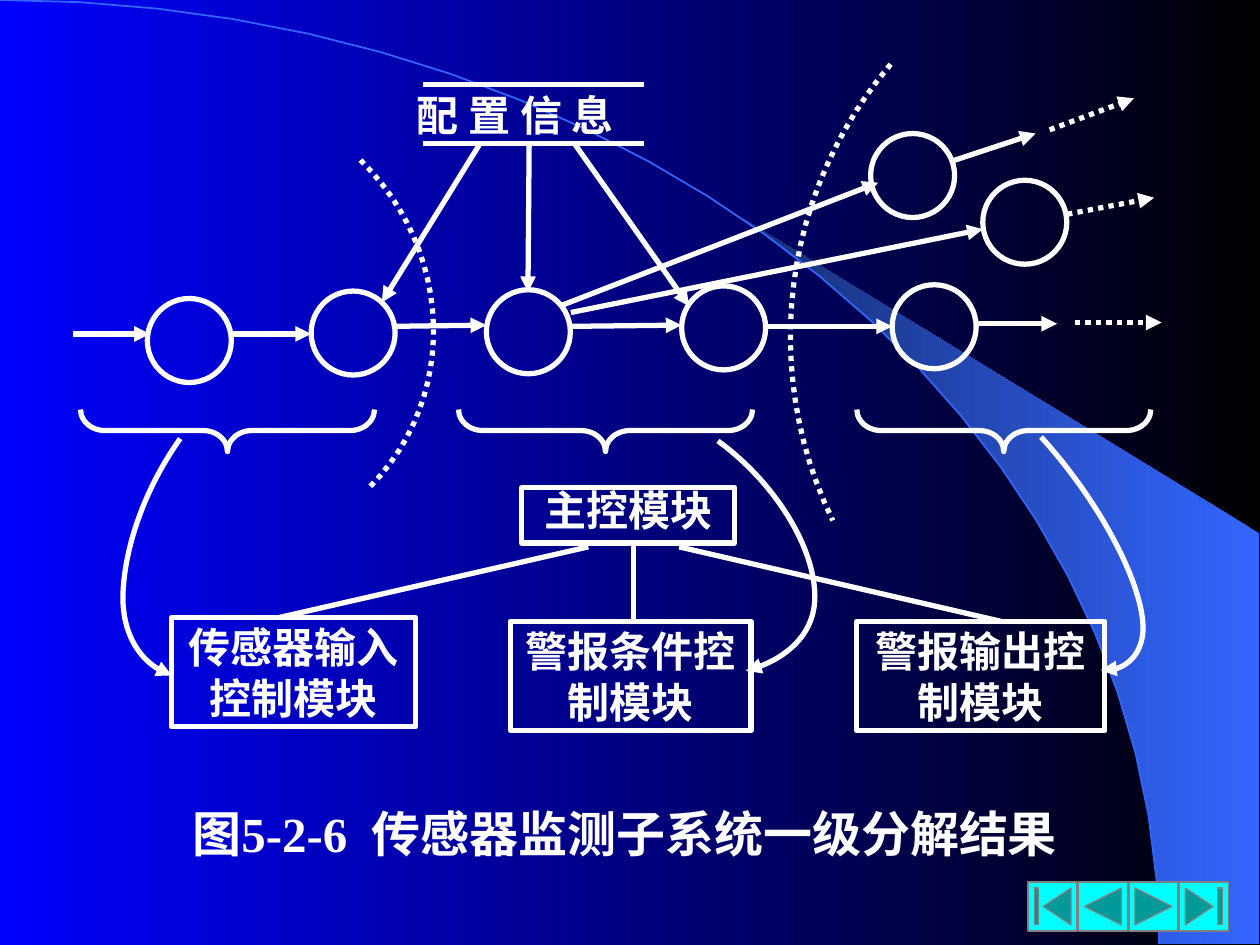
from pptx import Presentation
from pptx.dml.color import RGBColor
from pptx.enum.dml import MSO_LINE
from pptx.enum.shapes import MSO_CONNECTOR, MSO_SHAPE
from pptx.enum.text import MSO_ANCHOR, MSO_AUTO_SIZE, PP_ALIGN
from pptx.oxml.ns import qn
from pptx.util import Pt
from lxml.etree import SubElement
from dataclasses import dataclass


@dataclass(frozen=True)
class Theme:
    ink: RGBColor = RGBColor(255, 255, 255)
    black: RGBColor = RGBColor(0, 0, 0)
    blue: RGBColor = RGBColor(0, 0, 255)
    sky: RGBColor = RGBColor(0x33, 0x66, 0xFF)
    navy: RGBColor = RGBColor(0x17, 0x2F, 0x75)
    cyan: RGBColor = RGBColor(0, 255, 255)
    gray: RGBColor = RGBColor(128, 128, 128)
    font: str = "Times New Roman"
    label: int = 24
    title: int = 28
    pen: int = 3


theme = Theme()


def draw(item, dots=False, arrow=False, color=theme.ink, width=theme.pen):
    """Style the outline of a shape or connector and drop its shadow."""
    item.line.color.rgb = color
    item.line.width = Pt(width)
    if dots:
        item.line.dash_style = MSO_LINE.ROUND_DOT
    props = item._element.spPr
    if arrow:
        SubElement(props.find(qn("a:ln")), qn("a:tailEnd"), type="triangle")
    SubElement(props, qn("a:effectLst"))


def trace(knots):
    """Turn chained cubic Bezier knots into points in EMU."""
    spots = [knots[0]]
    for i in range(0, len(knots) - 1, 3):
        a, b, c, d = knots[i:i + 4]
        for n in range(1, 25):
            t = n / 24
            u = 1 - t
            spots.append(tuple(
                u**3 * a[k] + 3 * u * u * t * b[k] + 3 * u * t * t * c[k] + t**3 * d[k]
                for k in (0, 1)))
    return [(Pt(x), Pt(y)) for x, y in spots]


deck = Presentation()
deck.slide_width, deck.slide_height = Pt(720), Pt(540)
slide = deck.slides.add_slide(deck.slide_layouts[5])
shapes = slide.shapes

# Background: gradient, wedge and long arc
back = slide.background.fill
rim = trace([(0, 0), (365.8, 0), (662.4, 241.2), (662.4, 539.3)])
edge = [spot for spot in rim if spot[1] > Pt(124.6)]
pen = shapes.build_freeform(Pt(424), Pt(124.6), scale=1)
pen.add_line_segments(edge + [(Pt(719.3), Pt(539.3)), (Pt(719.3), Pt(304.6))])
wedge = pen.convert_to_shape()
wedge.line.fill.background()
wedge.shadow.inherit = False
for fill, first, last in ((back, theme.black, theme.blue),
                          (wedge.fill, theme.sky, theme.navy)):
    fill.gradient()
    fill.gradient_angle = 180
    for stop, color, place in zip(fill.gradient_stops, (first, last), (0, 1)):
        stop.color.rgb = color
        stop.position = place

# Curves: knots, dotted, arrow, colour, width
curves = [
    ([(211.7, 277.9), (262.1, 226.8), (259.2, 143.3), (205.9, 91.4)], True, False),
    ([(509, 36.7), (447.1, 109.4), (434.2, 211.7), (475.9, 297.4)], True, False),
    ([(103, 250.6), (78, 286), (70, 322), (70.3, 343),
      (70.8, 364), (81, 380), (98.3, 386)], False, True),
    ([(410.3, 252), (442, 275), (465.7, 312), (465.7, 341),
      (465.7, 362), (450, 377), (426.3, 383.4)], False, True),
    ([(594.9, 249.7), (628, 286), (653, 333), (653.2, 359),
      (653, 374), (643, 384), (629.1, 383)], False, True),
]
paths = [(rim, False, False, theme.sky, 1)]
paths += [(trace(knots), dots, arrow, theme.ink, theme.pen)
          for knots, dots, arrow in curves]
for spots, dots, arrow, color, width in paths:
    pen = shapes.build_freeform(*spots[0], scale=1)
    pen.add_line_segments(spots[1:], close=False)
    curve = pen.convert_to_shape()
    curve.fill.background()
    draw(curve, dots, arrow, color, width)

# Caption
title = shapes.title
title.left, title.top, title.width, title.height = Pt(51), Pt(455.8), Pt(612), Pt(48)
frame = title.text_frame
frame.text = "图5‑2‑6  传感器监测子系统一级分解结果"
frame.auto_size = MSO_AUTO_SIZE.NONE
frame.vertical_anchor = MSO_ANCHOR.TOP
para = frame.paragraphs[0]
para.alignment = PP_ALIGN.CENTER
para.space_before = Pt(7)
para.font.name, para.font.size, para.font.bold = theme.font, Pt(theme.title), True
para.font.color.rgb = theme.ink

# Navigation buttons
buttons = (MSO_SHAPE.ACTION_BUTTON_BEGINNING, MSO_SHAPE.ACTION_BUTTON_BACK_OR_PREVIOUS,
           MSO_SHAPE.ACTION_BUTTON_FORWARD_OR_NEXT, MSO_SHAPE.ACTION_BUTTON_END)
for i, kind in enumerate(buttons):
    button = shapes.add_shape(kind, Pt(587.5 + 28.8 * i), Pt(504), Pt(28), Pt(28))
    button.fill.solid()
    button.fill.fore_color.rgb = theme.cyan
    draw(button, color=theme.gray, width=0.75)

# Process circles
for x, y in ((84.2, 170.6), (177.8, 166.3), (277.9, 165.6), (389.5, 163.4),
             (509.8, 162.7), (497.5, 76.3), (561.6, 103)):
    ring = shapes.add_shape(MSO_SHAPE.OVAL, Pt(x), Pt(y), Pt(48), Pt(48))
    ring.fill.background()
    draw(ring)

# Braces under the three groups
for x in (118, 334, 561.6):
    brace = shapes.add_shape(MSO_SHAPE.LEFT_BRACE, Pt(x), Pt(162), Pt(24), Pt(168))
    brace.rotation = 270
    brace.adjustments[0] = 0.58
    brace.fill.background()
    draw(brace)

# Straight lines by style: dotted, arrow, ends
flows = [
    (41.8, 190.8, 85.7, 190.8), (131.8, 190.8, 177.8, 190.8),
    (223.9, 186.5, 277.9, 185.8), (326.2, 186.5, 389.5, 185.8),
    (437.8, 186.5, 509.8, 186.5), (558, 185, 604.1, 185),
    (543.6, 92.2, 591.8, 76.3), (319.7, 175, 501.8, 104.4),
    (326.2, 178.6, 561.6, 131), (274.3, 82.1, 218.2, 172.8),
    (302.4, 82.1, 301.7, 167), (328.3, 82.1, 393.8, 175),
]
exits = [(609.8, 122.4, 659.5, 113), (599.8, 74.2, 648, 56.2),
         (614.2, 184.3, 663.8, 184.3)]
links = [(241.9, 48.2, 367.9, 48.2), (241.9, 82.1, 367.9, 82.1),
         (362.2, 311, 362.2, 355), (336.2, 312.5, 159.8, 352.8),
         (388.1, 312.5, 571.7, 355)]
for group, dots, arrow in ((flows, False, True), (exits, True, True),
                           (links, False, False)):
    for ends in group:
        line = shapes.add_connector(MSO_CONNECTOR.STRAIGHT, *map(Pt, ends))
        draw(line, dots, arrow)

# Module boxes and the store label: text, bounds, line spacing, framed
labels = [
    ("主控模块", (298.1, 278.6, 121.7, 31.7), 0.72, True),
    ("传感器输入控制模块", (97.9, 352.8, 139.7, 62.6), 1, True),
    ("警报条件控制模块", (291.6, 355, 137.5, 62.6), 1, True),
    ("警报输出控制模块", (489.6, 355, 141.8, 62.6), 1, True),
    ("配 置 信 息", (238.3, 51.8, 133.9, 33.8), 0.72, False),
]
for text, bounds, gap, framed in labels:
    if framed:
        box = shapes.add_shape(MSO_SHAPE.RECTANGLE, *map(Pt, bounds))
        box.fill.background()
        draw(box)
    else:
        box = shapes.add_textbox(*map(Pt, bounds))
    frame = box.text_frame
    frame.text = text
    frame.word_wrap = True
    frame.vertical_anchor = MSO_ANCHOR.MIDDLE
    frame.margin_left = frame.margin_right = frame.margin_top = frame.margin_bottom = 0
    para = frame.paragraphs[0]
    para.alignment = PP_ALIGN.CENTER if framed else PP_ALIGN.JUSTIFY
    para.line_spacing = gap
    para.font.name, para.font.size, para.font.bold = theme.font, Pt(theme.label), True
    para.font.color.rgb = theme.ink

deck.save("out.pptx")
